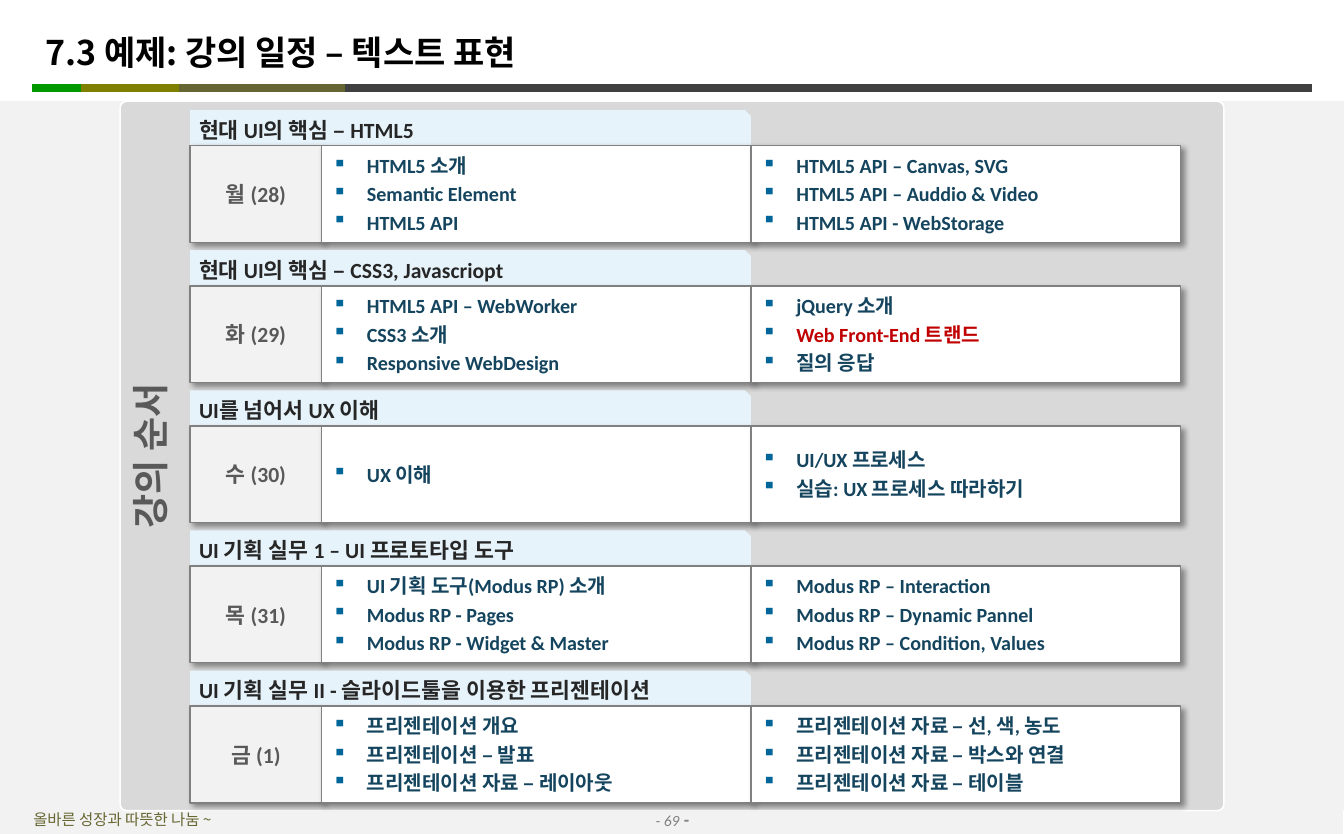
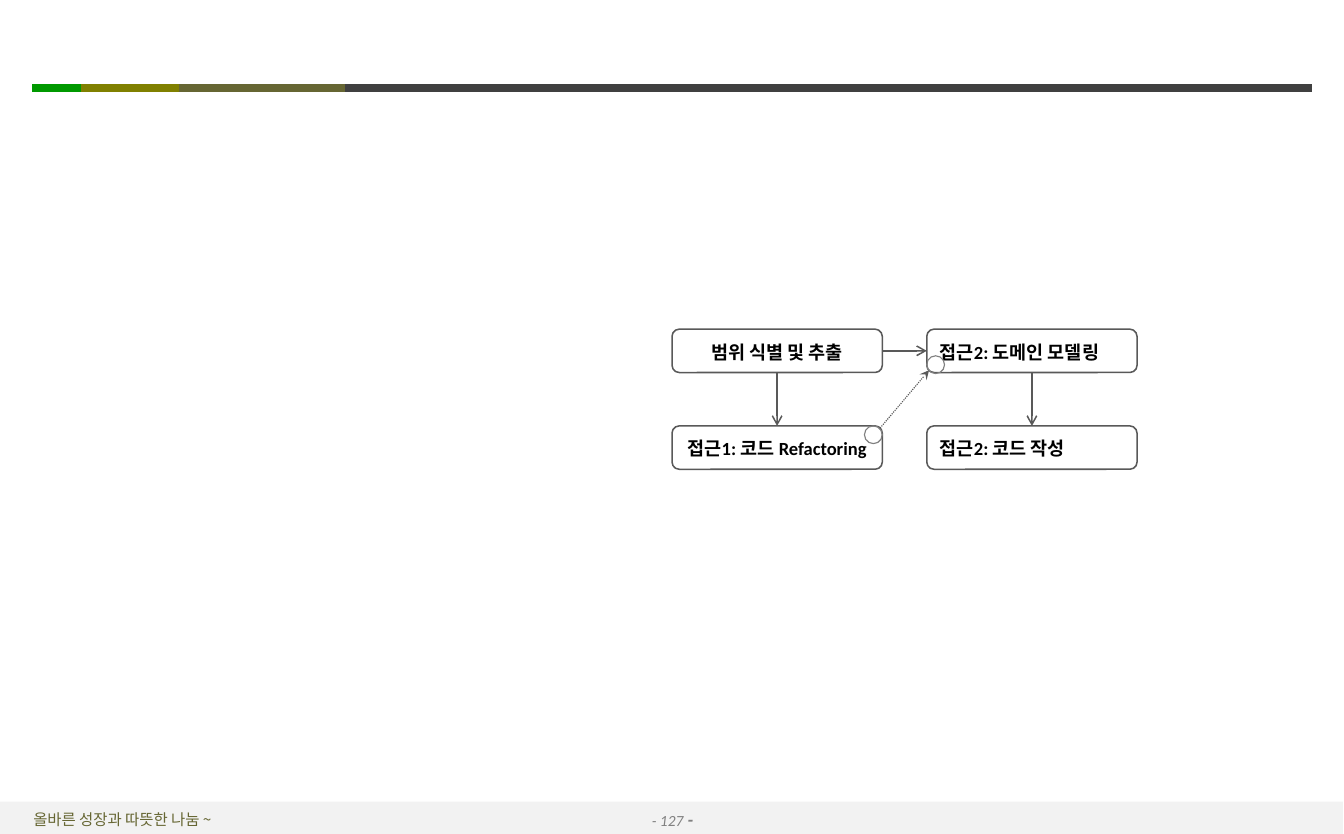
from dataclasses import dataclass

from lxml import etree
from pptx import Presentation
from pptx import util as u
from pptx.dml.color import RGBColor
from pptx.enum import dml, shapes, text
from pptx.oxml import ns

SHAPE = shapes.MSO_SHAPE
ALIGN = text.PP_ALIGN
ANCHOR = text.MSO_ANCHOR


@dataclass(frozen=True)
class Theme:
    latin: str = "Calibri"
    korean: str = "Noto Sans CJK KR"
    # Colours
    black: str = "000000"
    white: str = "FFFFFF"
    pale: str = "F2F2F2"
    panel: str = "D9D9D9"
    header: str = "E6F3FA"
    header_text: str = "262626"
    topic: str = "15455E"
    bullet: str = "006699"
    alert: str = "C00000"
    grey: str = "808080"
    dark: str = "595959"
    rule: str = "404040"
    green: str = "009900"
    olive: str = "808000"
    moss: str = "666633"
    # Type sizes
    title_size: int = 22
    panel_size: int = 24
    header_size: int = 14
    topic_size: int = 13
    flow_size: int = 12
    footer_size: int = 10


THEME = Theme()

ALERT_TOPIC = "Web Front-End 트랜드"
SCHEDULE = [
    ("현대 UI의 핵심 – HTML5", "월 (28)",
     ["HTML5 소개", "Semantic Element", "HTML5 API"],
     ["HTML5 API – Canvas, SVG", "HTML5 API – Auddio & Video", "HTML5 API - WebStorage"]),
    ("현대 UI의 핵심 – CSS3, Javascriopt", "화 (29)",
     ["HTML5 API – WebWorker", "CSS3 소개", "Responsive WebDesign"],
     ["jQuery 소개", ALERT_TOPIC, "질의 응답"]),
    ("UI를 넘어서 UX 이해", "수 (30)",
     ["UX 이해"],
     ["UI/UX 프로세스", "실습: UX 프로세스 따라하기"]),
    ("UI 기획 실무 1 – UI 프로토타입 도구", "목 (31)",
     ["UI 기획 도구(Modus RP) 소개", "Modus RP - Pages", "Modus RP - Widget & Master"],
     ["Modus RP – Interaction", "Modus RP – Dynamic Pannel", "Modus RP – Condition, Values"]),
    ("UI 기획 실무 II - 슬라이드툴을 이용한 프리젠테이션", "금 (1)",
     ["프리젠테이션 개요", "프리젠테이션 – 발표", "프리젠테이션 자료 – 레이아웃"],
     ["프리젠테이션 자료 – 선, 색, 농도", "프리젠테이션 자료 – 박스와 연결",
      "프리젠테이션 자료 – 테이블"]),
]


# Basic elements
def colour(value):
    return RGBColor.from_string(value)


def add_xml(parent, tag, **attributes):
    child = etree.SubElement(parent, ns.qn(tag))
    for name, value in attributes.items():
        child.set(name, str(value))
    return child


def add_span(para, words, size, ink, bold=True, italic=False, latin=THEME.latin):
    span = para.add_run()
    span.text = words
    font = span.font
    font.size, font.bold, font.italic, font.name = u.Pt(size), bold, italic, latin
    font.color.rgb = colour(ink)
    add_xml(span.font._element, "a:ea", typeface=THEME.korean)


def set_frame(box, anchor=ANCHOR.MIDDLE, insets=(0.1, 0.05, 0.1, 0.05)):
    frame = box.text_frame
    frame.word_wrap = True
    frame.vertical_anchor = anchor
    (frame.margin_left, frame.margin_top,
     frame.margin_right, frame.margin_bottom) = map(u.Inches, insets)
    return frame


def add_box(page, kind, place, fill=None, line=None, width=1):
    box = page.shapes.add_shape(kind, *map(u.Inches, place))
    box.shadow.inherit = False
    if fill:
        box.fill.solid()
        box.fill.fore_color.rgb = colour(fill)
    else:
        box.fill.background()
    if line:
        box.line.color.rgb = colour(line)
        box.line.width = u.Pt(width)
    else:
        box.line.fill.background()
    return box


def add_label(box, words, size, ink, align=ALIGN.CENTER, **frame_options):
    para = set_frame(box, **frame_options).paragraphs[0]
    para.alignment = align
    add_span(para, words, size, ink)
    return para


def add_text_box(page, place):
    box = page.shapes.add_textbox(*map(u.Inches, place))
    para = set_frame(box).paragraphs[0]
    para.alignment = ALIGN.CENTER
    return box, para


def add_line(page, start, end, ink, width, head=None):
    line = page.shapes.add_connector(
        shapes.MSO_CONNECTOR.STRAIGHT, *map(u.Inches, start + end))
    line.line.color.rgb = colour(ink)
    line.line.width = u.Pt(width)
    if head:
        add_xml(line.line._get_or_add_ln(), "a:tailEnd", type=head)
    add_xml(line.element.spPr, "a:effectLst")
    return line


def add_shadow(box):
    effects = box.element.spPr.find(ns.qn("a:effectLst"))
    shadow = add_xml(effects, "a:outerShdw", blurRad=u.Pt(4), dist=u.Pt(3),
                     dir=45 * 60000, algn="tl", rotWithShape=0)
    add_xml(add_xml(shadow, "a:srgbClr", val=THEME.black), "a:alpha", val=40000)


# Shared parts
def fill_master(deck, page):
    """Draw the bands and the motto on a page, then move them to the master."""
    parts = [add_box(page, SHAPE.RECTANGLE, (0, 7.21, 12.07, 0.29), THEME.pale)]
    motto, para = add_text_box(page, (0, 7.24, 2.2, 0.26))
    add_span(para, "올바른 성장과 따뜻한 나눔 ~", THEME.footer_size, THEME.moss,
             bold=False, latin=THEME.korean)
    parts.append(motto)
    for left, right, ink in [(2.98, 11.79, THEME.rule), (0.29, 1.09, THEME.green),
                             (0.73, 1.66, THEME.olive), (1.61, 3.1, THEME.moss)]:
        parts.append(add_line(page, (left, 0.79), (right, 0.79), ink, 5))
    for number, part in enumerate(parts, start=100):
        part.element.xpath(".//p:cNvPr")[0].set("id", str(number))
        deck.slide_master.shapes.element.append(part.element)


def add_page_number(page, number):
    _, para = add_text_box(page, (5.06, 7.24, 1.97, 0.26))
    add_span(para, f"- {number}", THEME.footer_size, THEME.grey, bold=False, italic=True)
    add_span(para, " -", 12, THEME.grey, italic=True)


def set_title(page, words):
    title = page.shapes.title
    title.left, title.top, title.width, title.height = map(u.Inches, (0.37, 0.15, 10, 0.63))
    para = set_frame(title, insets=(0.04,) * 4).paragraphs[0]
    para.alignment = ALIGN.LEFT
    add_span(para, words, THEME.title_size, THEME.black, latin=THEME.korean)


# Schedule
def add_cell(page, place, fill):
    cell = add_box(page, SHAPE.RECTANGLE, place, fill, THEME.grey)
    add_shadow(cell)
    return cell


def add_topics(cell, topics):
    frame = set_frame(cell)
    for index, topic in enumerate(topics):
        para = frame.add_paragraph() if index else frame.paragraphs[0]
        para.alignment = ALIGN.LEFT
        para.line_spacing = u.Pt(15.4)
        para.space_before = u.Pt(3 if index else 0)
        properties = para._p.get_or_add_pPr()
        properties.set("marL", str(u.Inches(0.31)))
        properties.set("indent", str(-u.Inches(0.31)))
        add_xml(add_xml(properties, "a:buClr"), "a:srgbClr", val=THEME.bullet)
        add_xml(properties, "a:buChar", char="▪")
        ink = THEME.alert if topic == ALERT_TOPIC else THEME.topic
        add_span(para, topic, THEME.topic_size, ink)


def add_day(page, top, heading, day, columns):
    left, day_width, column_width, header_height, height = 1.71, 1.18, 3.86, 0.32, 0.87
    header = add_box(page, SHAPE.SNIP_1_RECTANGLE,
                     (left, top, day_width + column_width, header_height), THEME.header)
    add_label(header, heading, THEME.header_size, THEME.header_text, ALIGN.LEFT,
              insets=(0.08, 0.05, 0, 0.05))
    top += header_height
    day_cell = add_cell(page, (left, top, day_width, height), THEME.pale)
    add_label(day_cell, day, THEME.header_size, THEME.dark)
    for index, topics in enumerate(columns):
        column_left = left + day_width + index * column_width
        cell = add_cell(page, (column_left, top, column_width, height), THEME.white)
        add_topics(cell, topics)


def build_schedule(page):
    set_title(page, "7.3 예제: 강의 일정 – 텍스트 표현")
    add_page_number(page, 69)
    add_box(page, SHAPE.RECTANGLE, (0, 0.91, 12.08, 6.38), THEME.pale)
    panel = add_box(page, SHAPE.ROUNDED_RECTANGLE, (2.85, -0.86, 6.38, 9.92),
                    THEME.panel, THEME.white)
    panel.rotation = 270
    panel.adjustments[0] = 0.009
    add_label(panel, "강의 순서", THEME.panel_size, THEME.dark, anchor=ANCHOR.TOP)
    for index, (heading, day, *columns) in enumerate(SCHEDULE):
        add_day(page, 0.99 + index * 1.26, heading, day, columns)


# Flow diagram
def add_step(page, left, top, words, align):
    step = add_box(page, SHAPE.ROUNDED_RECTANGLE, (left, top, 1.89, 0.39),
                   THEME.white, THEME.dark)
    para = add_label(step, words, THEME.flow_size, THEME.black, align)
    para.line_spacing = u.Pt(15.5)
    return step


def join(page, start, start_site, end, end_site):
    arrow = add_line(page, (0, 0), (0, 0), THEME.dark, 1, "arrow")
    arrow.begin_connect(start, start_site)
    arrow.end_connect(end, end_site)


def build_flow(page):
    add_page_number(page, 127)
    left, right, upper, lower = 6.04, 8.33, 2.96, 3.83
    scope = add_step(page, left, upper, "범위 식별 및 추출", ALIGN.CENTER)
    model = add_step(page, right, upper, "접근2: 도메인 모델링", ALIGN.LEFT)
    refactor = add_step(page, left, lower, "접근1: 코드 Refactoring", ALIGN.CENTER)
    write = add_step(page, right, lower, "접근2: 코드 작성", ALIGN.LEFT)
    join(page, scope, 3, model, 1)
    join(page, scope, 2, refactor, 0)
    join(page, model, 2, write, 0)
    for place in [(8.33, 3.2), (7.77, 3.83)]:
        add_box(page, SHAPE.OVAL, place + (0.16, 0.16), line=THEME.grey, width=0.75)
    shortcut = add_line(page, (7.91, 3.85), (8.35, 3.33), THEME.dark, 0.75, "stealth")
    shortcut.line.dash_style = dml.MSO_LINE.ROUND_DOT


def main():
    deck = Presentation()
    deck.slide_width, deck.slide_height = u.Inches(12.08), u.Inches(7.5)
    schedule = deck.slides.add_slide(deck.slide_layouts[5])
    fill_master(deck, schedule)
    build_schedule(schedule)
    build_flow(deck.slides.add_slide(deck.slide_layouts[6]))
    deck.save("out.pptx")


if __name__ == "__main__":
    main()
